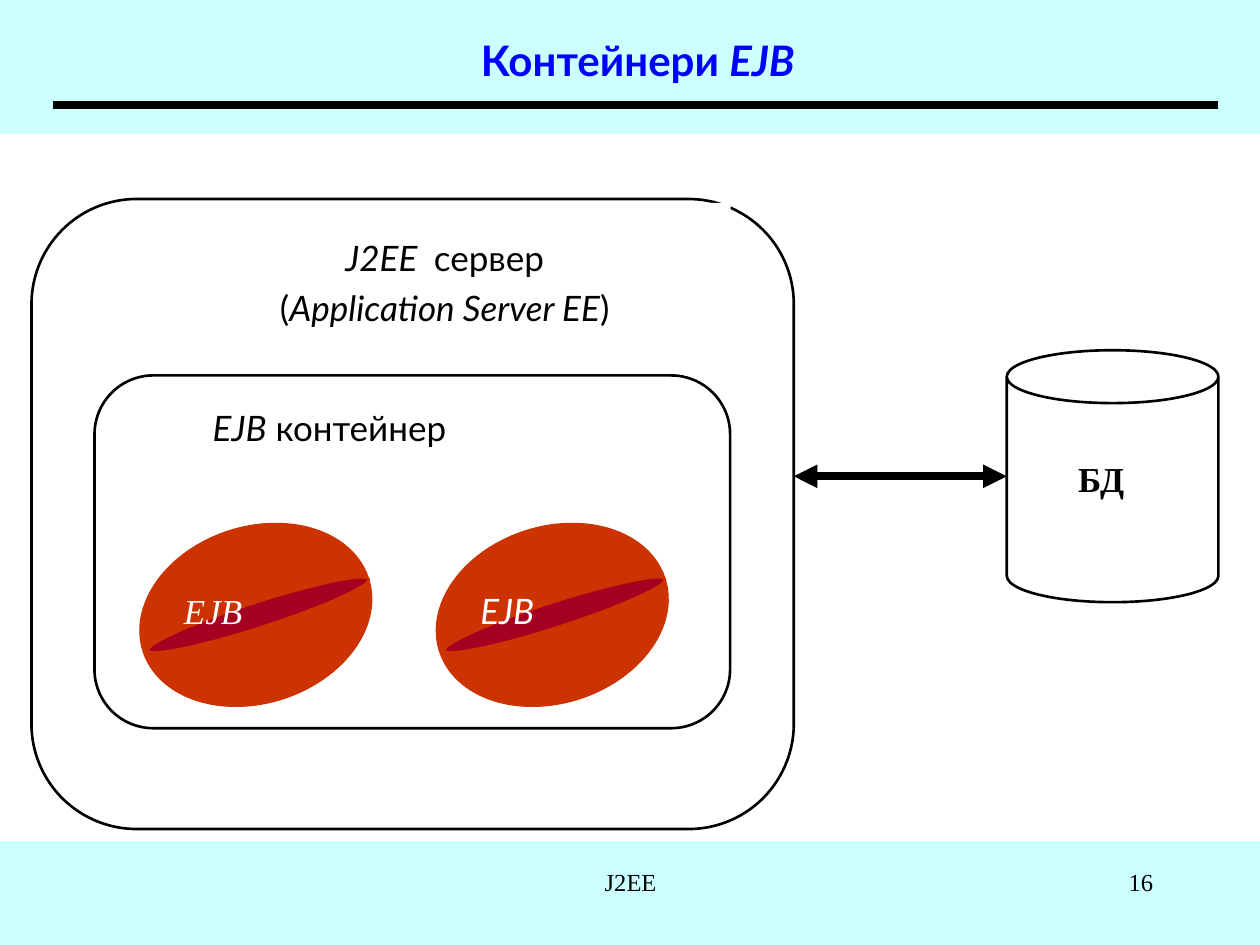
from lxml.etree import SubElement
from pptx import Presentation
from pptx.dml.color import RGBColor
from pptx.enum.shapes import MSO_CONNECTOR, MSO_SHAPE as Shape
from pptx.enum.text import MSO_ANCHOR as Anchor, PP_ALIGN as Align
from pptx.oxml.ns import qn
from pptx.util import Pt

COLORS = {"page": "CCFFFF", "paper": "FFFFFF", "ink": "000000",
          "title": "0000FF", "bean": "CC3300", "seam": "A50021"}
SANS, SERIF = "Lato", "Times New Roman"
DEFAULT_INSETS = (7.2, 3.6, 7.2, 3.6)
NO_INSETS = (0, 0, 0, 0)

TITLE = [[("Контейнери ", False), ("EJB", True)]]
SERVER = [[("J2EE  ", True), ("сервер", False)],
          [("(", False), ("Application Server EE", True), (")", False)]]
CONTAINER = [[("EJB", True), (" контейнер", False)]]
DATABASE = [[("БД", False)]]
BEAN = [[("EJB", True)]]
BEAN_FONTS = [SERIF, SANS]
FOOTERS = [("J2EE", (246.24, 491.76, 228.24, 36), Align.CENTER),
           ("16", (516.24, 491.76, 149.76, 36), Align.RIGHT)]

BEAN_LEFT, BEAN_STEP, BEAN_TILT = 78.48, 169.4, 342.1


def rgb(name):
    return RGBColor.from_string(COLORS[name])


def points(values):
    return [Pt(value) for value in values]


def write(holder, lines, font, size=20, color="ink", bold=False, align=Align.LEFT,
          insets=DEFAULT_INSETS, anchor=Anchor.TOP, spacing=()):
    frame = holder.text_frame
    frame.word_wrap = True
    frame.vertical_anchor = anchor
    (frame.margin_left, frame.margin_top,
     frame.margin_right, frame.margin_bottom) = points(insets)
    for index, runs in enumerate(lines):
        paragraph = frame.paragraphs[0] if index == 0 else frame.add_paragraph()
        paragraph.alignment = align
        if spacing:
            paragraph.line_spacing = spacing[index]
        paragraph.font.name = font
        paragraph.font.size = Pt(size)
        paragraph.font.bold = bold
        paragraph.font.color.rgb = rgb(color)
        for text, italic in runs:
            run = paragraph.add_run()
            run.text = text
            run.font.italic = italic


def draw(parent, kind, box, fill="paper", line=None, width=1.5, adjust=None, tilt=0):
    shape = parent.add_shape(kind, *points(box))
    shape.shadow.inherit = False
    shape.fill.solid()
    shape.fill.fore_color.rgb = rgb(fill)
    if line:
        shape.line.color.rgb = rgb(line)
        shape.line.width = Pt(width)
    else:
        shape.line.fill.background()
    if adjust is not None:
        shape.adjustments[0] = adjust
    shape.rotation = tilt
    return shape


def connect(parent, ends, arrows=False):
    connector = parent.add_connector(MSO_CONNECTOR.STRAIGHT, *points(ends))
    connector.line.color.rgb = rgb("ink")
    connector.line.width = Pt(4.5)
    if arrows:
        stroke = connector.line._get_or_add_ln()
        for end in ("a:headEnd", "a:tailEnd"):
            SubElement(stroke, qn(end), type="triangle")
    SubElement(connector._element.spPr, qn("a:effectLst"))


def main():
    deck = Presentation()
    deck.slide_width, deck.slide_height = Pt(720), Pt(540)
    slide = deck.slides.add_slide(deck.slide_layouts[5])
    slide.background.fill.solid()
    slide.background.fill.fore_color.rgb = rgb("page")

    title = slide.shapes.title
    title.left, title.top, title.width, title.height = points((72, 0, 594, 54))
    write(title, TITLE, SANS, 24, "title", True, Align.CENTER,
          (7.2, 18, 16.2, 3.6), Anchor.MIDDLE)

    paper = draw(slide.shapes, Shape.RECTANGLE, (0, 77.76, 720, 401.76),
                 line="paper", width=2)
    slide.shapes._spTree.insert(2, paper._element)
    connect(slide.shapes, (30.24, 59.76, 696.24, 59.76))

    diagram = slide.shapes.add_group_shape().shapes
    for box in [(18, 113.76, 435.6, 360), (54, 214.56, 363.2, 201.6)]:
        draw(diagram, Shape.ROUNDED_RECTANGLE, box, line="ink", adjust=0.167)
    server = draw(diagram, Shape.RECTANGLE, (90.72, 115.92, 326.88, 83.52))
    write(server, SERVER, SANS, align=Align.CENTER,
          insets=(0, 24, 0, 0), spacing=(0.8, 1.2))
    container = draw(diagram, Shape.RECTANGLE, (114.48, 228.96, 241.92, 72))
    write(container, CONTAINER, SANS)

    for index, font in enumerate(BEAN_FONTS):
        left = BEAN_LEFT + index * BEAN_STEP
        draw(diagram, Shape.OVAL, (left, 300.96, 135.36, 100.8),
             "bean", "bean", 0.75, tilt=BEAN_TILT)
        draw(diagram, Shape.OVAL, (left + 2.88, 344.16, 132.48, 14.4),
             "seam", "bean", tilt=BEAN_TILT)
        label = diagram.add_textbox(*points((left + 26.64, 336.96, 46.08, 33.84)))
        write(label, BEAN, font, color="paper", insets=NO_INSETS)

    connect(diagram, (453.6, 272.16, 575.28, 272.16), arrows=True)
    draw(diagram, Shape.CAN, (575.28, 200.16, 120.96, 144), line="ink", adjust=0.25)
    database = draw(diagram, Shape.RECTANGLE, (599.04, 257.76, 60.48, 57.6))
    write(database, DATABASE, SERIF, bold=True, align=Align.CENTER)

    for text, box, align in FOOTERS:
        footer = slide.shapes.add_textbox(*points(box))
        write(footer, [[(text, False)]], SERIF, 14, align=align)

    deck.save("out.pptx")


if __name__ == "__main__":
    main()
